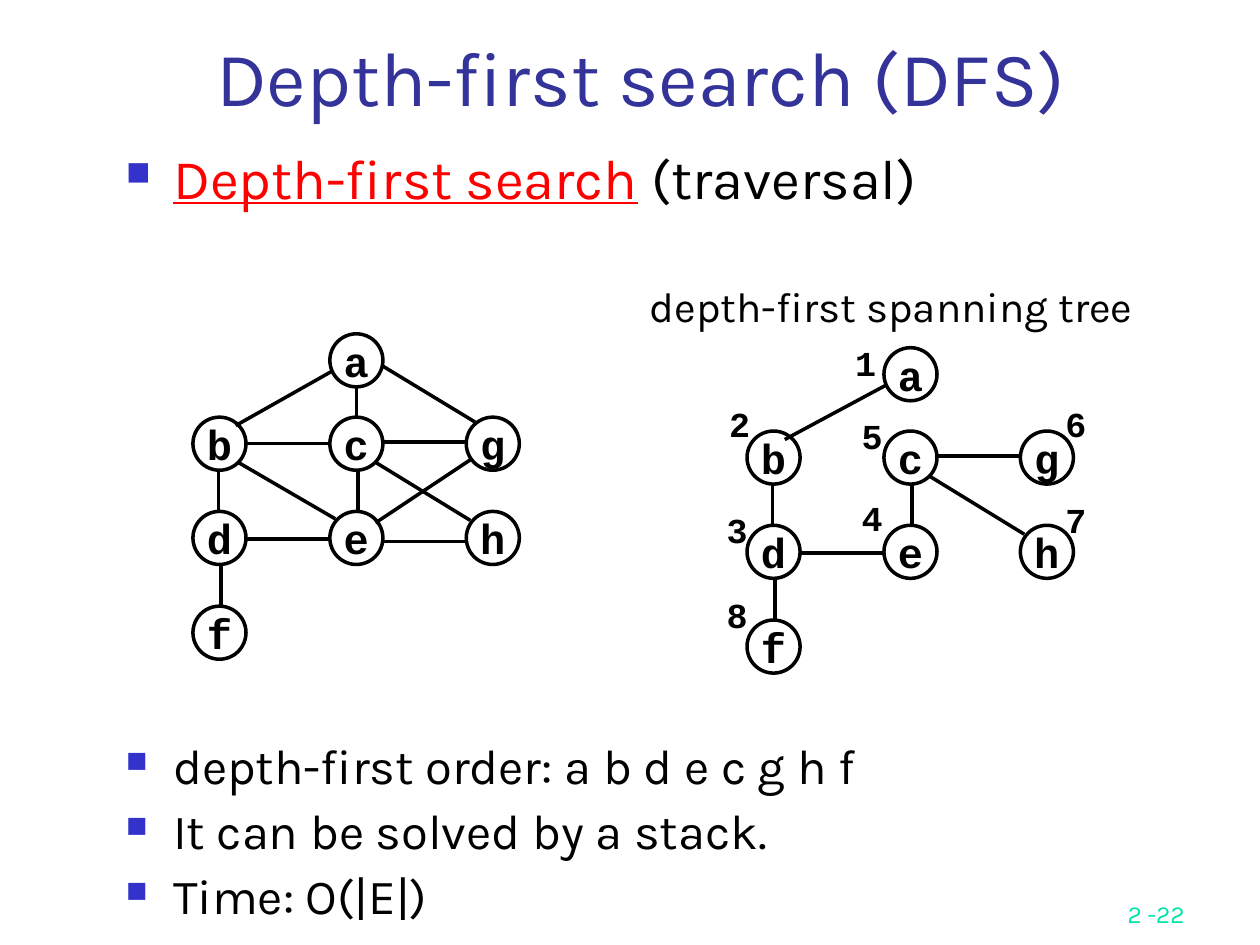
from dataclasses import dataclass

from lxml import etree
from pptx import Presentation
from pptx import util as u
from pptx.dml.color import RGBColor
from pptx.enum import shapes, text
from pptx.oxml import ns

COLORS = {
    "title": "333399",
    "bullet": "3333CC",
    "term": "FF0000",
    "ink": "000000",
    "number": "00E4A8",
}
SANS = "Karla"
MONO = "Courier New"
DIAMETER = 1.07
COLUMNS = (0, 2.76, 5.51)
ROWS = (0, 1.68, 3.58, 5.49)
VERTICES = {
    "a": (1, 0), "c": (1, 1), "g": (2, 1), "h": (2, 2),
    "e": (1, 2), "b": (0, 1), "d": (0, 2), "f": (0, 3),
}


@dataclass(frozen=True)
class Box:
    left: float
    top: float
    width: float
    height: float

    def lengths(self) -> list[u.Cm]:
        return [u.Cm(v) for v in (self.left, self.top, self.width, self.height)]


@dataclass(frozen=True)
class Edge:
    x1: float
    y1: float
    x2: float
    y2: float


@dataclass(frozen=True)
class Diagram:
    left: float
    top: float
    edges: tuple[Edge, ...]


@dataclass(frozen=True)
class VisitOrder:
    number: str
    left: float
    top: float


SHARED_EDGES = (
    Edge(0.51, 2.74, 0.51, 3.56),
    Edge(0.56, 4.65, 0.56, 5.49),
    Edge(3.33, 2.74, 3.33, 3.56),
    Edge(1.07, 4.14, 2.77, 4.14),
    Edge(3.81, 2.18, 5.51, 2.18),
    Edge(3.68, 2.59, 5.59, 3.76),
)
GRAPH = Diagram(3.89, 6.73, SHARED_EDGES + (
    Edge(2.79, 0.76, 0.86, 1.85),
    Edge(3.81, 0.64, 5.69, 1.78),
    Edge(1.07, 2.21, 2.77, 2.21),
    Edge(3.86, 4.19, 5.51, 4.19),
    Edge(3.3, 1.04, 3.3, 1.65),
    Edge(3.68, 3.81, 5.59, 2.54),
    Edge(0.91, 2.59, 2.87, 3.73),
))
TREE = Diagram(15.06, 7.01, SHARED_EDGES + (Edge(2.79, 0.76, 0.76, 1.85),))
VISITS = (
    VisitOrder("1", 16.99, 6.76),
    VisitOrder("2", 14.45, 7.98),
    VisitOrder("3", 14.4, 10.13),
    VisitOrder("4", 17.12, 9.88),
    VisitOrder("5", 17.12, 8.23),
    VisitOrder("6", 21.23, 7.98),
    VisitOrder("7", 21.23, 9.93),
    VisitOrder("8", 14.4, 11.84),
)


def rgb(name: str) -> RGBColor:
    return RGBColor.from_string(COLORS[name])


def style(font, size: float, color: str = "ink", face: str = SANS, bold: bool = False) -> None:
    font.size = u.Pt(size)
    font.name = face
    font.bold = bold
    font.color.rgb = rgb(color)


def add_label(parent, words: str, box: Box, size: float, color: str = "ink",
              face: str = SANS, bold: bool = False, wrap: bool = True,
              align=text.PP_ALIGN.LEFT, anchor=text.MSO_ANCHOR.TOP) -> None:
    frame = parent.add_textbox(*box.lengths()).text_frame
    frame.word_wrap = wrap
    frame.vertical_anchor = anchor
    line = frame.paragraphs[0]
    line.text = words
    line.alignment = align
    style(line.font, size, color, face, bold)


def add_bullet(paragraph) -> None:
    properties = paragraph._p.get_or_add_pPr()
    properties.set("marL", str(u.Cm(0.95)))
    properties.set("indent", str(-u.Cm(0.95)))
    color = etree.SubElement(properties, ns.qn("a:buClr"))
    etree.SubElement(color, ns.qn("a:srgbClr"), val=COLORS["bullet"])
    etree.SubElement(properties, ns.qn("a:buSzPct"), val="60000")
    etree.SubElement(properties, ns.qn("a:buChar"), char="■")


def add_points(parent, points: list[list[str]], box: Box, size: float, gap: float):
    frame = parent.add_textbox(*box.lengths()).text_frame
    frame.word_wrap = True
    for index, runs in enumerate(points):
        point = frame.add_paragraph() if index else frame.paragraphs[0]
        add_bullet(point)
        point.line_spacing = 0.9
        if index:
            point.space_before = u.Pt(gap)
        style(point.font, size)
        for words in runs:
            point.add_run().text = words
    return frame


def add_vertex(parent, letter: str, left: float, top: float) -> None:
    vertex = parent.add_shape(shapes.MSO_SHAPE.OVAL,
                              *Box(left, top, DIAMETER, DIAMETER).lengths())
    vertex.shadow.inherit = False
    vertex.fill.background()
    vertex.line.color.rgb = rgb("ink")
    vertex.line.width = u.Pt(2)
    frame = vertex.text_frame
    frame.word_wrap = False
    frame.vertical_anchor = text.MSO_ANCHOR.MIDDLE
    name = frame.paragraphs[0]
    name.text = letter
    name.alignment = text.PP_ALIGN.CENTER
    style(name.font, 24, face=MONO, bold=True)


def add_edge(parent, edge: Edge, left: float, top: float) -> None:
    link = parent.add_connector(
        shapes.MSO_CONNECTOR.STRAIGHT,
        u.Cm(left + edge.x1), u.Cm(top + edge.y1),
        u.Cm(left + edge.x2), u.Cm(top + edge.y2))
    link.line.color.rgb = rgb("ink")
    link.line.width = u.Pt(2)
    etree.SubElement(link._element.spPr, ns.qn("a:effectLst"))


def add_diagram(parent, diagram: Diagram):
    members = parent.add_group_shape().shapes
    for letter, (column, row) in VERTICES.items():
        add_vertex(members, letter, diagram.left + COLUMNS[column], diagram.top + ROWS[row])
    for edge in diagram.edges:
        add_edge(members, edge, diagram.left, diagram.top)
    return members


def main() -> None:
    deck = Presentation()
    deck.slide_width, deck.slide_height = u.Cm(25.4), u.Cm(19.05)
    canvas = deck.slides.add_slide(deck.slide_layouts[6]).shapes

    add_label(canvas, "2 -22", Box(18.85, 17.58, 5.28, 1.27), 14, "number",
              align=text.PP_ALIGN.RIGHT, anchor=text.MSO_ANCHOR.BOTTOM)
    add_label(canvas, "Depth-first search (DFS)", Box(2.11, 0, 21.64, 2.59), 44, "title",
              align=text.PP_ALIGN.CENTER, anchor=text.MSO_ANCHOR.BOTTOM)
    topic = add_points(canvas, [["Depth-first search", " (traversal)"]],
                       Box(2.29, 2.92, 21.39, 1.6), 32, 8)
    term = topic.paragraphs[0].runs[0].font
    term.color.rgb = rgb("term")
    term.underline = True
    add_points(canvas, [["depth-first order: a b d e c g h f"],
                        ["It can be solved by a stack."],
                        ["Time: O(|E|)"]], Box(2.29, 14.83, 21.39, 4.2), 28, 7)

    add_diagram(canvas, GRAPH)
    tree = add_diagram(canvas, TREE)
    for visit in VISITS:
        add_label(tree, visit.number, Box(visit.left, visit.top, 0.91, 1.12), 20,
                  face=MONO, bold=True, wrap=False)
    add_label(tree, "depth-first spanning tree", Box(12.85, 5.54, 10.46, 1.27), 24)
    deck.save("out.pptx")


if __name__ == "__main__":
    main()
